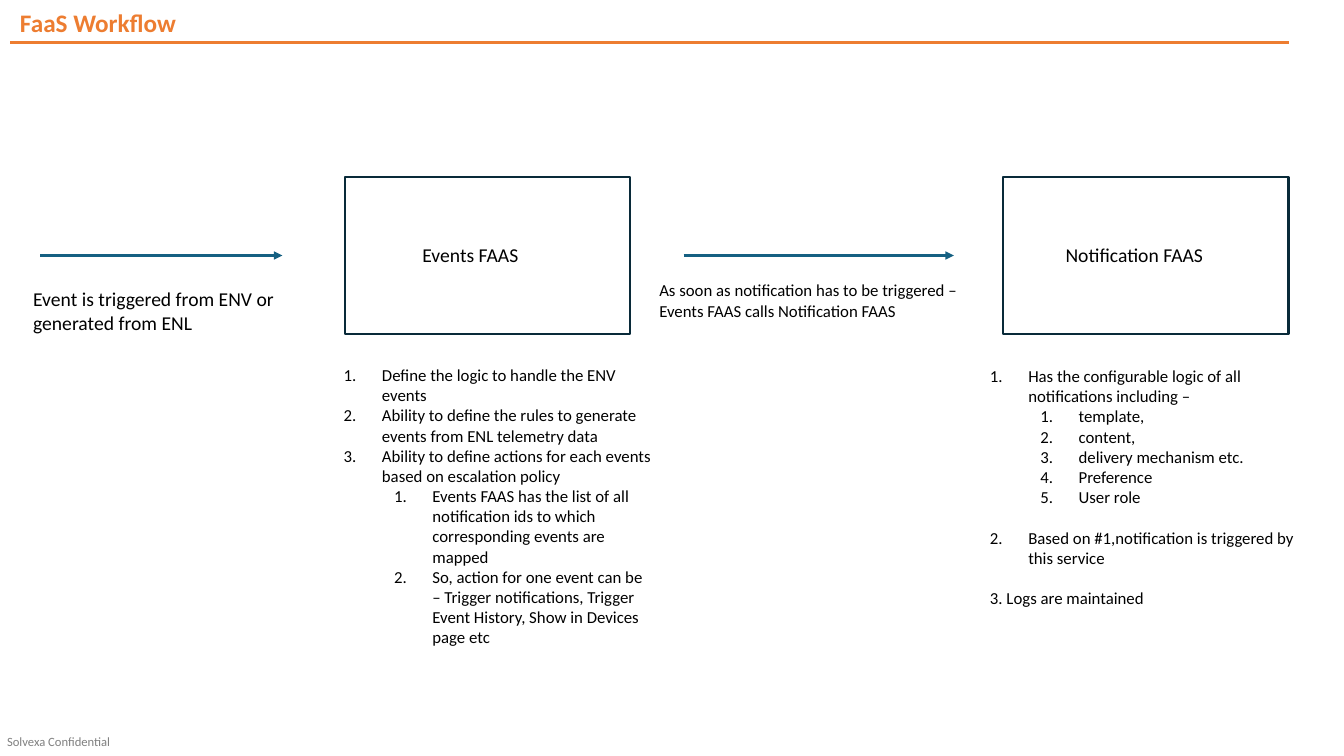
from dataclasses import dataclass
from lxml import etree
from pptx import Presentation
from pptx import util as u
from pptx.dml.color import RGBColor
from pptx.enum import shapes, text
from pptx.oxml.ns import qn

# Content: list items are (level, text, blank lines above)
TITLE = "FaaS Workflow"
FOOTER = "Solvexa Confidential"
BOXES = [("Events FAAS", 3.42, 4.09, 1.16), ("Notification FAAS", 9.95, 10.47, 1.58)]
ARROWS = [(0.4, 2.8), (6.78, 9.46)]
CAPTIONS = [
    ("Event is triggered from ENV or generated from ENL", 0.23, 2.8, 3.19, 0.57, 14),
    ("As soon as notification has to be triggered – Events FAAS calls Notification FAAS",
     6.44, 2.73, 3.51, 0.5, 12),
]
LISTS = [
    (3.31, 3.57, 2.93, [
        (0, "Define the logic to handle the ENV events", 0),
        (0, "Ability to define the rules to generate events from ENL telemetry data", 0),
        (0, "Ability to define actions for each events based on escalation policy", 0),
        (1, "Events FAAS has the list of all notification ids to which corresponding "
            "events are mapped", 0),
        (1, "So, action for one event can be – Trigger notifications, Trigger Event "
            "History, Show in Devices page etc", 0),
    ]),
    (9.72, 3.58, 2.52, [
        (0, "Has the configurable logic of all notifications including –", 0),
        (1, "template,", 0),
        (1, "content,", 0),
        (1, "delivery mechanism etc.", 0),
        (1, "Preference", 0),
        (1, "User role", 0),
        (0, "Based on #1,notification is triggered by this service", 1),
        (None, "3. Logs are maintained", 1),
    ]),
]


@dataclass
class Theme:
    font: str = "Calibri"
    accent: str = "ED7D31"
    frame: str = "092A39"
    arrow: str = "156082"
    ink: str = "000000"
    mute: str = "808080"
    head: int = 18
    label: int = 14
    body: int = 12
    small: int = 9
    pitch: float = 14.6  # height of one body line, points


T = Theme()
BOX_TOP, BOX_W, BOX_H = 1.76, 2.83, 1.55
MID = BOX_TOP + BOX_H / 2
RULE = (0.1, 12.78, 0.42)
HANG, STEP = 0.38, 0.5

prs = Presentation()
prs.slide_width, prs.slide_height = u.Inches(13.33), u.Inches(7.5)
slide = prs.slides.add_slide(prs.slide_layouts[6])


def style(par, size, color, bold=False):
    font = par.font
    font.name, font.size, font.bold = T.font, u.Pt(size), bold
    font.color.rgb = RGBColor.from_string(color)


def frame(x, y, w, h, wrap=True):
    tf = slide.shapes.add_textbox(*map(u.Inches, (x, y, w, h))).text_frame
    tf.word_wrap = wrap
    return tf


def write(words, spot, size, color=T.ink, bold=False, wrap=True):
    tf = frame(*spot, wrap)
    par = tf.paragraphs[0]
    par.text = words
    style(par, size, color, bold)
    return tf


def line(x1, x2, y, color, width, arrow=False):
    link = slide.shapes.add_connector(
        shapes.MSO_CONNECTOR.STRAIGHT, *map(u.Inches, (x1, y, x2, y)))
    link.line.color.rgb = RGBColor.from_string(color)
    link.line.width = u.Pt(width)
    if arrow:
        etree.SubElement(link.line._get_or_add_ln(), qn("a:tailEnd"), type="triangle")
    etree.SubElement(link._element.spPr, qn("a:effectLst"))


def number(par, level):
    par.level = level
    props = par._p.get_or_add_pPr()
    props.set("marL", str(u.Inches(HANG + level * STEP)))
    props.set("indent", str(-u.Inches(HANG)))
    etree.SubElement(props, qn("a:buFont"), typeface="+mj-lt")
    etree.SubElement(props, qn("a:buAutoNum"), type="arabicPeriod")


# Footer, title and rule
foot = write(FOOTER, (0.07, 7.28, 1.3, 0.15), T.small, T.mute)
foot.margin_left = foot.margin_right = foot.margin_top = foot.margin_bottom = 0
write(TITLE, (0.1, 0.02, 10.93, 0.4), T.head, T.accent, bold=True)
line(*RULE, T.accent, 2.25)

# Service boxes with their labels
for name, left, x, w in BOXES:
    box = slide.shapes.add_shape(
        shapes.MSO_SHAPE.RECTANGLE, *map(u.Inches, (left, BOX_TOP, BOX_W, BOX_H)))
    box.shadow.inherit = False
    box.fill.background()
    box.line.color.rgb = RGBColor.from_string(T.frame)
    box.line.width = u.Pt(1.5)
    write(name, (x, MID - 0.17, w, 0.34), T.label, wrap=False)

# Arrows and captions
for x1, x2 in ARROWS:
    line(x1, x2, MID, T.arrow, 1.5, arrow=True)
for words, *spot, size in CAPTIONS:
    write(words, spot, size)

# Numbered lists
for x, y, h, items in LISTS:
    tf = frame(x, y, 3.28, h)
    for i, (level, words, gap) in enumerate(items):
        par = tf.add_paragraph() if i else tf.paragraphs[0]
        par.text = words
        if gap:
            par.space_before = u.Pt(gap * T.pitch)
        if level is not None:
            number(par, level)
        style(par, T.body, T.ink)

prs.save("out.pptx")
